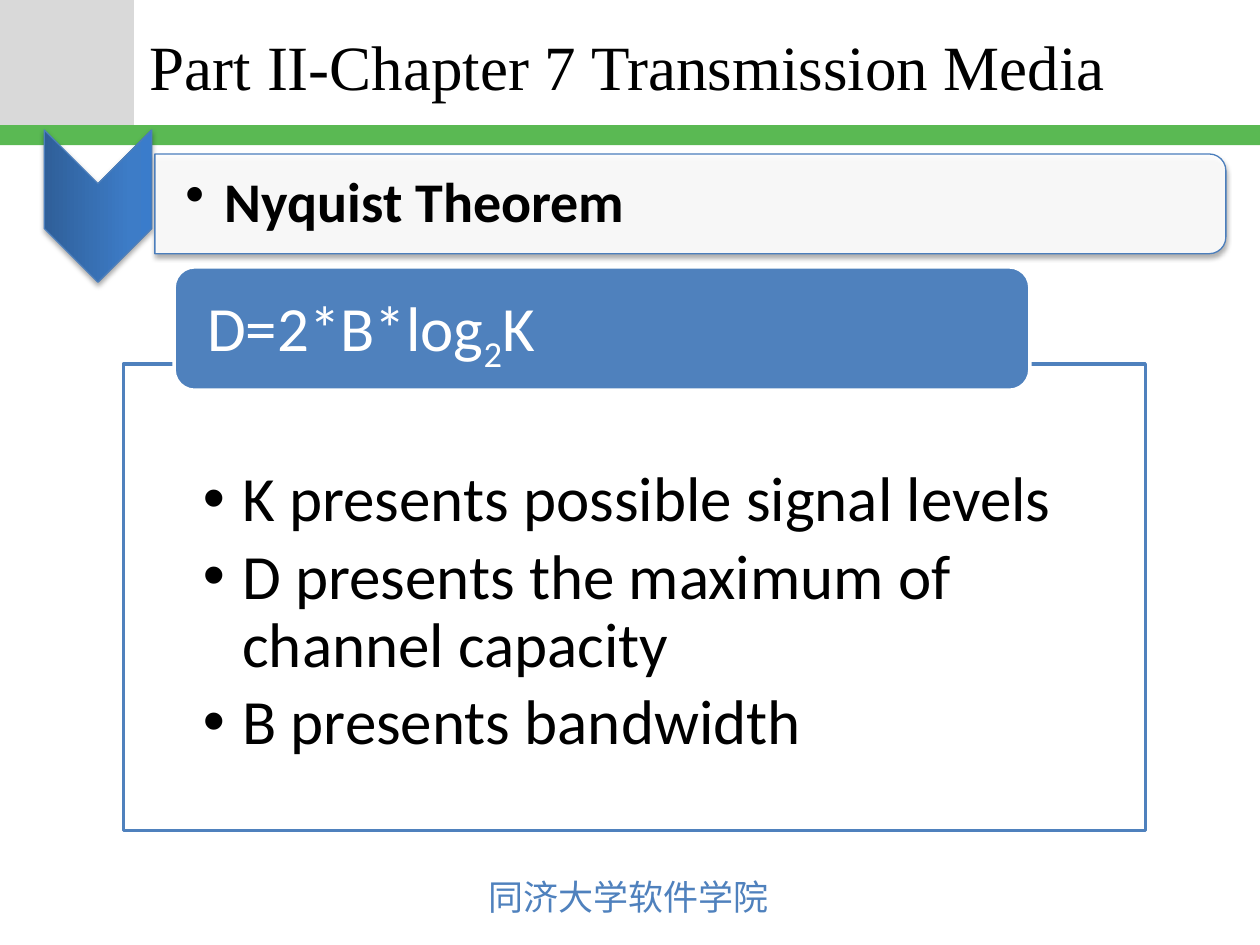
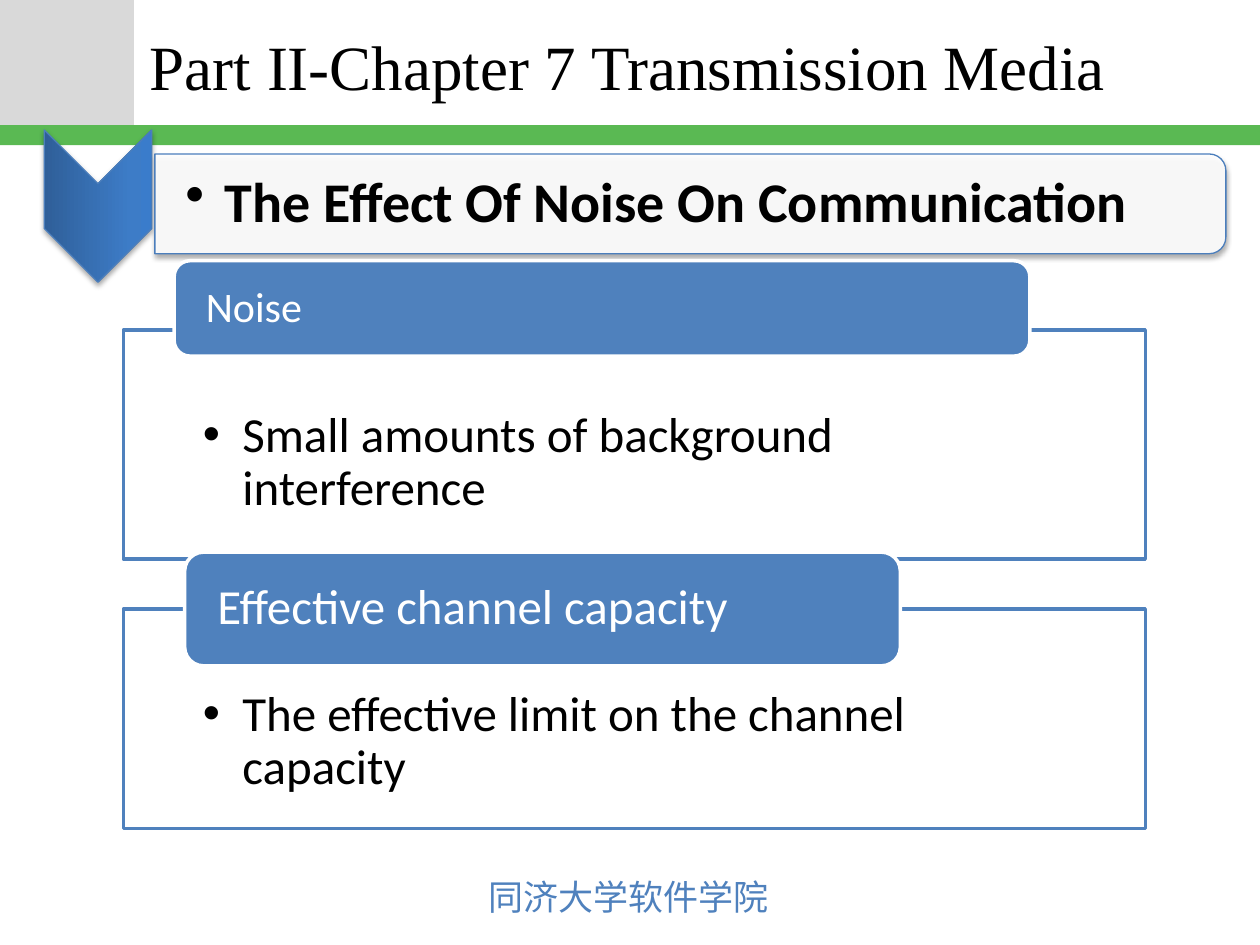
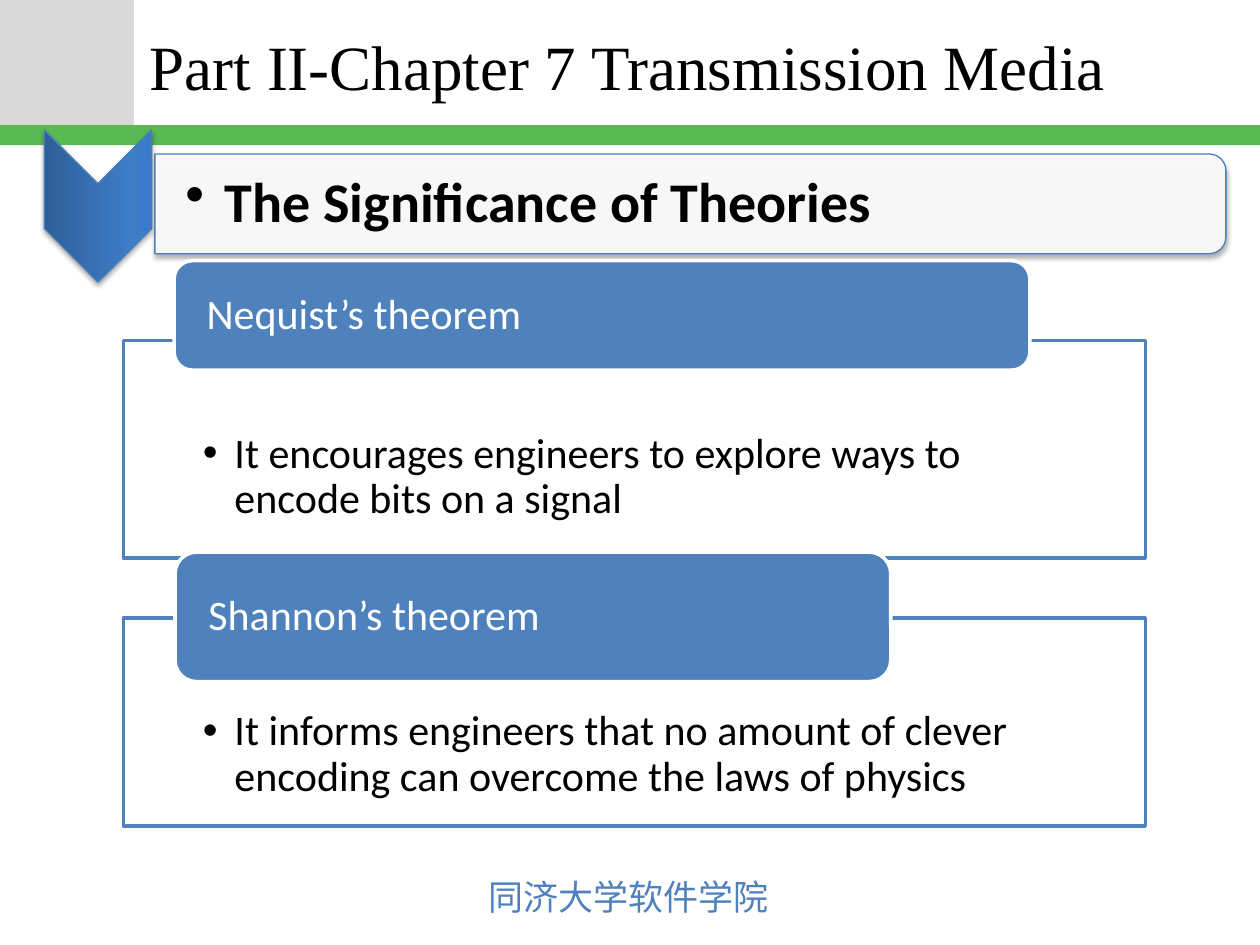
from dataclasses import dataclass

from pptx import Presentation
from pptx.dml.color import RGBColor
from pptx.enum.shapes import MSO_SHAPE
from pptx.enum.text import MSO_ANCHOR, MSO_AUTO_SIZE, PP_ALIGN
from pptx.oxml import parse_xml
from pptx.oxml.ns import nsdecls, qn
from pptx.util import Pt

RECT, PILL = MSO_SHAPE.RECTANGLE, MSO_SHAPE.ROUNDED_RECTANGLE
CHEVRON, BAR = MSO_SHAPE.CHEVRON, MSO_SHAPE.ROUND_2_SAME_RECTANGLE
TOP, MIDDLE = MSO_ANCHOR.TOP, MSO_ANCHOR.MIDDLE
FIXED, GROW = MSO_AUTO_SIZE.NONE, MSO_AUTO_SIZE.SHAPE_TO_FIT_TEXT
LEFT = PP_ALIGN.LEFT
ONE_LIST, TWO_LISTS = 1, 3  # layouts of the default template


@dataclass(frozen=True)
class Theme:
    blue: str = "4F81BD"
    edge: str = "4B7EBC"
    green: str = "5AB953"
    grey: str = "D9D9D9"
    white: str = "FFFFFF"
    black: str = "000000"
    ramp: tuple = ((0, "2F5F99"), (80, "3D7CC7"), (100, "3A7CCB"))
    serif: str = "Times New Roman"
    sans: str = "Calibri"
    asian: str = "Noto Sans CJK JP"
    title: int = 36
    head: int = 32
    foot: int = 20


def put(obj, **values):
    for name, value in values.items():
        setattr(obj, name, value)


def place(shape, left, top, width, height):
    put(shape, left=Pt(left), top=Pt(top), width=Pt(width), height=Pt(height))


def xml(tag, inner="", **attrs):
    """Make one DrawingML element."""
    text = "".join(f' {k}="{v}"' for k, v in attrs.items())
    return parse_xml(f"<a:{tag} {nsdecls('a')}{text}>{inner}</a:{tag}>")


class Deck:
    def __init__(self, theme):
        self.theme = theme
        self.file = Presentation()
        put(self.file, slide_width=Pt(720), slide_height=Pt(540))
        self.slide = None

    def page(self, layout, title, head):
        first = self.slide is None
        self.slide = self.file.slides.add_slide(self.file.slide_layouts[layout])
        if first:
            self.frame()
        self.title(title)
        self.head(head)

    def frame(self):
        """Draw the shared bands and footer, then move them to the master."""
        t = self.theme
        parts = [self.shape(RECT, (0, 0, 76.5, 71.5), t.grey),
                 self.shape(RECT, (0, 71.5, 720, 11.5), t.green)]
        foot = self.slide.shapes.add_textbox(Pt(272), Pt(497), Pt(176.5), Pt(31.5))
        put(foot.text_frame, word_wrap=False, auto_size=GROW)
        run = self.ink(foot.text_frame.paragraphs[0], "同济大学软件学院",
                       t.foot, t.blue, t.asian)
        run.font._element.append(xml("ea", typeface=t.asian))
        tree = self.file.slide_master.shapes.element
        for number, part in enumerate(parts + [foot], 20):
            part.element.nvSpPr.cNvPr.id = number
            tree.append(part.element)

    def paint(self, shape, fill, line=None, width=0.75, alpha=100):
        shape.fill.solid()
        shape.fill.fore_color.rgb = RGBColor.from_string(fill)
        if alpha < 100:
            color = shape.element.spPr.find(qn("a:solidFill"))[0]
            color.append(xml("alpha", val=alpha * 1000))
        if line:
            shape.line.color.rgb = RGBColor.from_string(line)
            shape.line.width = Pt(width)
        else:
            shape.line.fill.background()

    def shape(self, kind, spot, fill, line=None, **style):
        shape = self.slide.shapes.add_shape(kind, *map(Pt, spot))
        shape.shadow.inherit = False
        self.paint(shape, fill, line, **style)
        return shape

    def shade(self, shape):
        """Give the shape a soft shadow below it."""
        color = '<a:srgbClr val="000000"><a:alpha val="35000"/></a:srgbClr>'
        shape.element.spPr.find(qn("a:effectLst")).append(
            xml("outerShdw", color, blurRad=Pt(3.1), dist=Pt(1.8),
                dir=5400000, rotWithShape=0))

    def blend(self, shape):
        """Replace the solid fill by the theme's colour ramp."""
        stops = "".join(f'<a:gs pos="{at * 1000}"><a:srgbClr val="{c}"/></a:gs>'
                        for at, c in self.theme.ramp)
        props = shape.element.spPr
        props.replace(props.find(qn("a:solidFill")), xml(
            "gradFill", f'<a:gsLst>{stops}</a:gsLst><a:lin ang="16200000" scaled="0"/>',
            rotWithShape=1))

    def ink(self, para, text, size, color, font=None, bold=False):
        """Add a formatted run to the paragraph."""
        run = para.add_run()
        run.text = text
        put(run.font, name=font or self.theme.sans, size=Pt(size), bold=bold)
        run.font.color.rgb = RGBColor.from_string(color)
        return run

    def fit(self, frame, anchor, left, top, right, bottom):
        put(frame, word_wrap=True, auto_size=FIXED, vertical_anchor=anchor,
            margin_left=Pt(left), margin_top=Pt(top),
            margin_right=Pt(right), margin_bottom=Pt(bottom))

    def space(self, para, size, after):
        put(para, alignment=LEFT, line_spacing=0.9, space_before=Pt(0),
            space_after=Pt(size * after))

    def items(self, frame, lines, size, bold=False):
        """Fill the frame with bulleted lines."""
        indent = Pt(22.5 if size >= 28 else 18)
        for number, line in enumerate(lines):
            para = frame.add_paragraph() if number else frame.paragraphs[0]
            self.space(para, size, 0.15)
            props = para._p.get_or_add_pPr()
            props.set("marL", str(indent))
            props.set("indent", str(-indent))
            props.append(xml("buChar", char="•"))
            self.ink(para, line, size, self.theme.black, bold=bold)

    def title(self, text):
        t = self.theme
        title = self.slide.shapes.title
        place(title, 78.5, 2, 593, 70.5)
        self.fit(title.text_frame, MIDDLE, 7.2, 3.6, 7.2, 3.6)
        para = title.text_frame.paragraphs[0]
        para.alignment = LEFT
        self.ink(para, text, t.title, t.black, t.serif)

    def head(self, text):
        """Draw the arrow and the bar that holds the slide's heading."""
        t = self.theme
        arrow = self.shape(CHEVRON, (12.5, 87, 87, 61.5), t.blue, t.edge)
        self.blend(arrow)
        bar = self.shape(BAR, (366, -189.5, 57, 612), t.white, t.edge, alpha=90)
        for shape in (arrow, bar):
            shape.rotation = 90
            self.shade(shape)
        box = self.slide.shapes.add_textbox(Pt(88), Pt(91.5), Pt(610), Pt(51))
        self.fit(box.text_frame, MIDDLE, 18, 1.5, 1.5, 1.5)
        self.items(box.text_frame, [text], t.head, bold=True)

    def list(self, slot, top, height, inset, lines, size):
        """Turn a body placeholder into an outlined box with a list."""
        t = self.theme
        box = self.slide.placeholders[slot]
        place(box, 70.5, top, 584, height)
        self.paint(box, t.white, t.blue, width=2, alpha=90)
        self.fit(box.text_frame, TOP, 45.5, inset, 45.5, 16)
        self.items(box.text_frame, lines, size)

    def label(self, spot, text, size, sub="", tail=""):
        t = self.theme
        pill = self.shape(PILL, spot, t.blue, t.white, width=2)
        self.fit(pill.text_frame, MIDDLE, 15.5, 0, 15.5, 0)
        para = pill.text_frame.paragraphs[0]
        self.space(para, size, 0.35)
        self.ink(para, text, size, t.white)
        if sub:
            low = self.ink(para, sub, size, t.white)
            low.font._element.set("baseline", "-25000")
            self.ink(para, tail, size, t.white)


def main():
    deck = Deck(Theme())
    title = "Part II-Chapter 7 Transmission Media"

    deck.page(ONE_LIST, title, "Nyquist Theorem")
    deck.list(1, 208, 266.5, 59, [
        "K presents possible signal levels",
        "D presents the maximum of channel capacity",
        "B presents bandwidth"], 36)
    deck.label((99.5, 152.5, 489, 70.5), "D=2*B*log", 36, "2", "K")

    deck.page(TWO_LISTS, title, "The Effect Of Noise On Communication")
    deck.list(1, 188.5, 131, 46, ["Small amounts of background interference"], 28)
    deck.label((99.5, 149, 489, 54.5), "Noise", 24)
    deck.list(2, 348, 125.5, 46, ["The effective limit on the channel capacity"], 28)
    deck.label((105.5, 315.5, 409, 65), "Effective channel capacity", 28)

    deck.page(TWO_LISTS, title, "The Significance of Theories")
    deck.list(1, 194.5, 124.5, 52.5, [
        "It encourages engineers to explore ways to encode bits on a signal"], 24)
    deck.label((99.5, 149, 489, 62.5), "Nequist’s theorem", 24)
    deck.list(2, 353, 119, 52.5, [
        "It informs engineers that no amount of clever encoding "
        "can overcome the laws of physics"], 24)
    deck.label((100, 315.5, 409, 74), "Shannon’s theorem", 24)

    deck.file.save("out.pptx")


if __name__ == "__main__":
    main()
